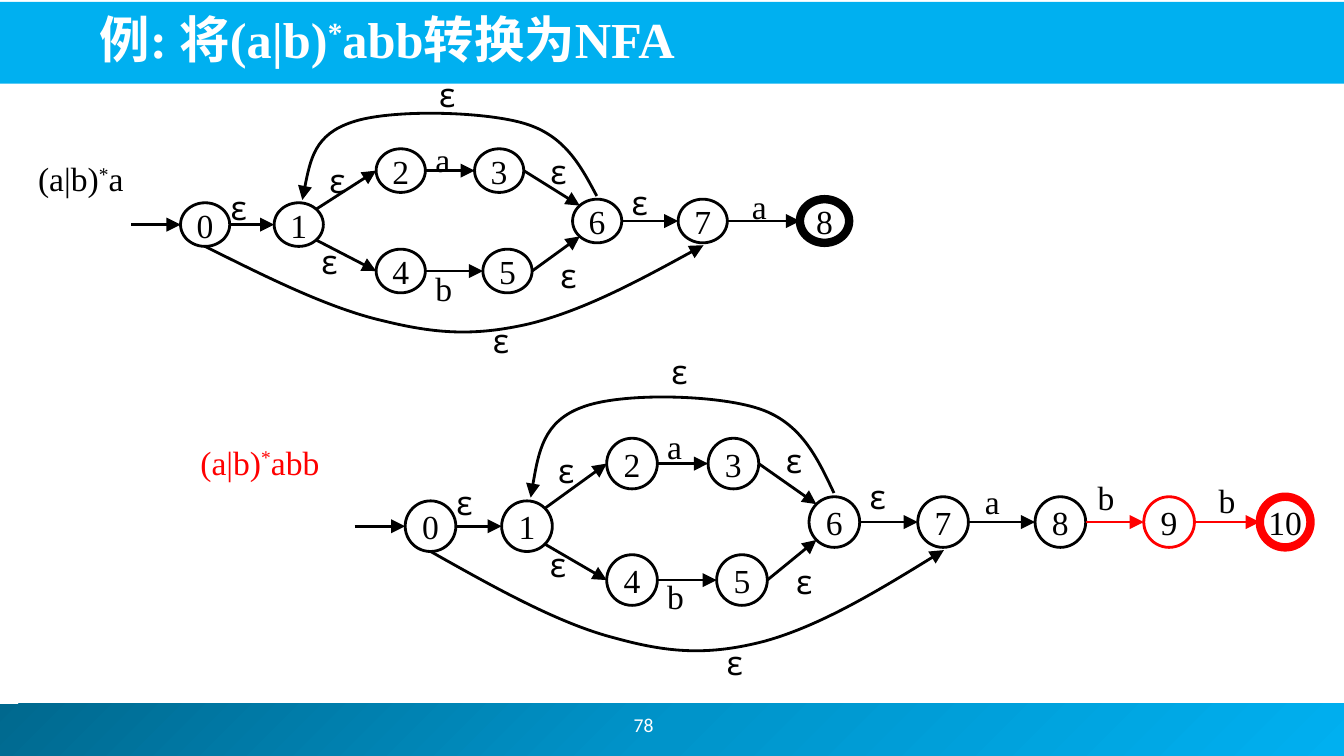
"""Draw the slide that turns (a|b)*abb into an NFA."""
from copy import deepcopy
from math import cos, radians, sin

from pptx import Presentation
from pptx.dml.color import RGBColor
from pptx.enum.shapes import MSO_CONNECTOR as Link, MSO_SHAPE as Kind
from pptx.enum.text import MSO_ANCHOR as Anchor, MSO_AUTO_SIZE as Auto, PP_ALIGN as Align
from pptx.oxml.ns import qn
from pptx.oxml.xmlchemy import OxmlElement as Node
from pptx.util import Cm, Pt

BLACK, RED, WHITE, BLUE = "000000", "FF0000", "FFFFFF", "00B0F0"
ROMAN, COMIC = "Times New Roman", "Comic Neue"
STOPS = [(0, "00688E"), (0.5, "0094CA"), (1, BLUE)]
TITLE = "例: 将(a|b)*abb转换为NFA"

WIDE, HIGH = 1.24, 1.1
STATES = [(0, 0), (2.36, 0), (4.93, -1.36), (7.41, -1.36), (4.93, 1.17),
          (7.62, 1.17), (9.88, -0.09), (12.54, -0.09)]
EDGES = [(0, "E", 1, "W"), (1, "NE", 2, "W"), (1, "SE", 4, "W"), (2, "E", 3, "W"),
         (4, "E", 5, "W"), (3, "E", 6, "NW"), (5, "E", 6, "SW"), (6, "E", 7, "W"),
         (7, "E", 8, "W"), (8, "E", 9, "W"), (9, "E", 10, "W")]
ANGLES = {"E": 0, "SE": 45, "SW": 135, "W": 180, "NW": 225, "NE": 315}
ARCS = [
    [(9.87, -0.72), (9.46, -1.49), (9.06, -2.25), (8.04, -2.55), (7, -2.86),
     (4.64, -2.91), (3.7, -2.58), (2.76, -2.27), (2.6, -1.44), (2.45, -0.62)],
    [(0, 0.55), (1.56, 1.33), (3.14, 2.12), (4.51, 2.43), (5.85, 2.76),
     (6.82, 2.81), (8.17, 2.5), (9.51, 2.17), (11.04, 1.36), (12.56, 0.52)],
]
MARKS = [("ε", 2.88, -1.76), ("ε", 8.45, -1.98), ("ε", 8.7, 0.64), ("ε", 2.68, 0.28),
         ("b", 5.55, 0.97), ("a", 5.55, -2.29), ("ε", 0.39, -1.07),
         ("ε", 10.5, -1.2), ("ε", 5.65, -3.92)]
GRAPHS = [
    dict(name=("(a|b)*a", 0.71, 3.86, 2.72, BLACK), zero=(5.17, 5.66), scale=(1, 1),
         states=[(15.61, -0.09)], marks=[("ε", 7, 2.28), ("a", 13.53, -1.1)]),
    dict(name=("(a|b)*abb", 4.8, 11, 3.58, RED), zero=(10.85, 13.26), scale=(1.03, 1.16),
         states=[(15.41, -0.09), (18.07, -0.09), (20.91, -0.09)],
         marks=[("ε", 7, 2.41), ("a", 13.32, -1.1), ("b", 16.08, -1.18),
                ("b", 19.04, -1.11)]),
]


def hue(code):
    return RGBColor.from_string(code)


def write(shape, text, size=24, font=ROMAN, color=BLACK, bold=False,
          align=Align.LEFT, anchor=Anchor.TOP, wrap=False, auto=Auto.NONE):
    frame = shape.text_frame
    frame.word_wrap, frame.auto_size, frame.vertical_anchor = wrap, auto, anchor
    para = frame.paragraphs[0]
    para.alignment = align
    for part in filter(None, text.partition("*")):
        run = para.add_run()
        run.text = part
        face = run.font
        face.size, face.name, face.bold = Pt(size), font, bold
        face.color.rgb = hue(color)
        props = run._r.get_or_add_rPr()
        east = Node("a:ea")
        east.set("typeface", "Noto Sans CJK JP")
        props.find(qn("a:latin")).addnext(east)
        if part == "*":
            props.set("baseline", "30000")


def label(shapes, text, x, y, w, h=1.27, **form):
    write(shapes.add_textbox(Cm(x), Cm(y), Cm(w), Cm(h)), text, **form)


def stroke(shape, color=BLACK, width=2, tip=False):
    shape.line.color.rgb = hue(color)
    shape.line.width = Pt(width)
    if tip:
        tail = Node("a:tailEnd")
        for key, value in (("type", "triangle"), ("w", "lg"), ("len", "lg")):
            tail.set(key, value)
        shape.line._get_or_add_ln().append(tail)


def arrow(shapes, start, end, color=BLACK):
    line = shapes.add_connector(Link.STRAIGHT, *map(Cm, (*start, *end)))
    stroke(line, color, tip=True)
    line._element.spPr.append(Node("a:effectLst"))


def bend(shapes, points):
    """Draw a chain of cubic curves that ends in an arrowhead."""
    first, *rest = [tuple(map(Cm, point)) for point in points]
    pen = shapes.build_freeform(*first)
    pen.add_line_segments(rest, close=False)
    bow = pen.convert_to_shape()
    bow.shadow.inherit = False
    bow.fill.background()
    stroke(bow, tip=True)
    path = bow._element.spPr.find(".//" + qn("a:path"))
    legs = path.findall(qn("a:lnTo"))
    for i in range(0, len(legs), 3):
        cubic = Node("a:cubicBezTo")
        for leg in legs[i:i + 3]:
            cubic.append(leg[0])
            path.remove(leg)
        path.append(cubic)


def band(x, y, w, h):
    bar = slide.shapes.add_shape(Kind.RECTANGLE, Cm(x), Cm(y), Cm(w), Cm(h))
    bar.shadow.inherit = False
    bar.line.fill.background()
    slide.slide_layout.shapes._spTree.insert(2, bar._element)
    return bar


def draw(name, zero, scale, states, marks):
    def place(x, y):
        return zero[0] + x * scale[0], zero[1] + y * scale[1]

    def site(state, side):
        turn = radians(ANGLES[side])
        x, y = nodes[state]
        return x + w / 2 * cos(turn), y + h / 2 * sin(turn)

    text, left, top, width, color = name
    label(slide.shapes, text, left, top, width, color=color, auto=Auto.SHAPE_TO_FIT_TEXT)
    shapes = slide.shapes.add_group_shape().shapes
    w, h = WIDE * scale[0], HIGH * scale[1]
    nodes = [place(*spot) for spot in STATES + states]
    last = len(nodes) - 1
    for i, (x, y) in enumerate(nodes):
        ring = shapes.add_shape(Kind.OVAL, Cm(x - w / 2), Cm(y - h / 2), Cm(w), Cm(h))
        ring.shadow.inherit = False
        ring.fill.background()
        stroke(ring, RED if i > 8 else BLACK, 6 if i == last else 2)
        write(ring, str(i), align=Align.CENTER, anchor=Anchor.MIDDLE)
    x, y = site(0, "W")
    arrow(shapes, (x - w, y), (x, y))
    for a, out, b, into in EDGES:
        if b <= last:
            arrow(shapes, site(a, out), site(b, into), RED if b > 8 else BLACK)
    for arc in ARCS:
        bend(shapes, [place(*point) for point in arc])
    for mark, x, y in MARKS + marks:
        label(shapes, mark, *place(x, y), 0.9, font=COMIC if mark == "ε" else ROMAN,
              auto=Auto.SHAPE_TO_FIT_TEXT)


deck = Presentation()
deck.slide_width, deck.slide_height = Cm(33.87), Cm(19.05)
slide = deck.slides.add_slide(deck.slide_layouts[5])

head = band(-0.05, 0.05, 33.93, 2.06)
head.fill.solid()
head.fill.fore_color.rgb = hue(BLUE)
foot = band(-0.13, 17.73, 34.01, 1.32)
foot.fill.gradient()
foot.fill.gradient_angle = 315
ramp = foot._element.spPr.find(".//" + qn("a:gsLst"))
ramp.insert(1, deepcopy(ramp[0]))
for stop, (spot, code) in zip(foot.fill.gradient_stops, STOPS):
    stop.position, stop.color.rgb = spot, hue(code)

title = slide.shapes.title
title.left, title.top, title.width, title.height = map(Cm, (2.26, 0.13, 28.78, 1.73))
write(title, TITLE, size=36, color=WHITE, bold=True, anchor=Anchor.BOTTOM, wrap=True)
label(slide.shapes, "78", 15.72, 17.63, 7.34, size=14, font="Calibri", color=WHITE,
      anchor=Anchor.MIDDLE, wrap=True)
for graph in GRAPHS:
    draw(**graph)
deck.save("out.pptx")
